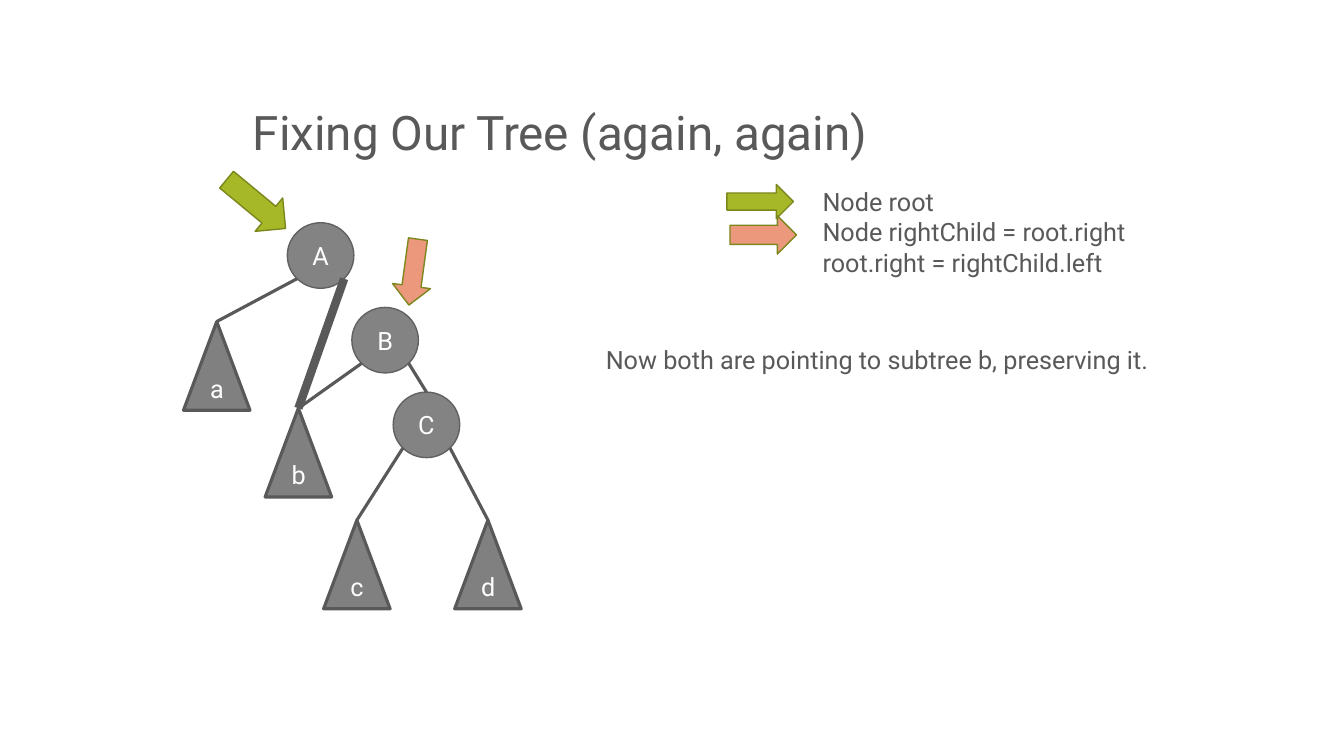
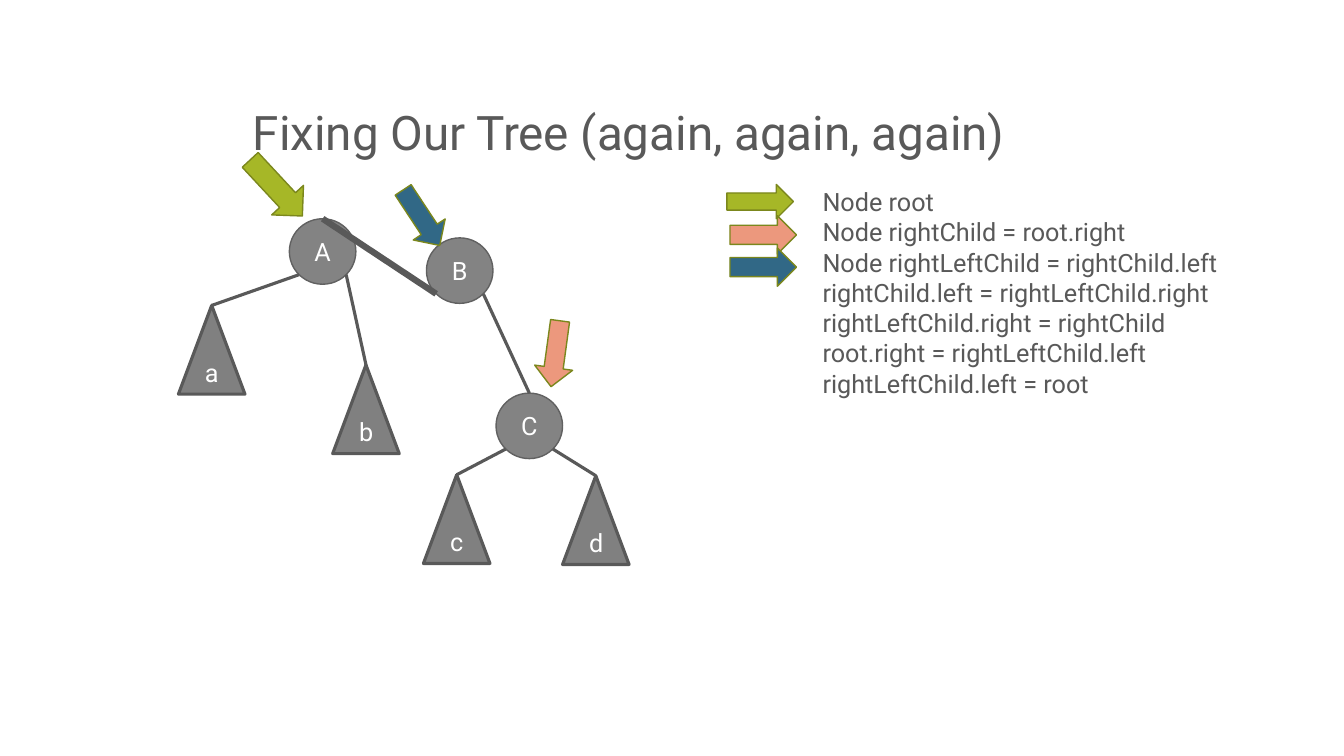
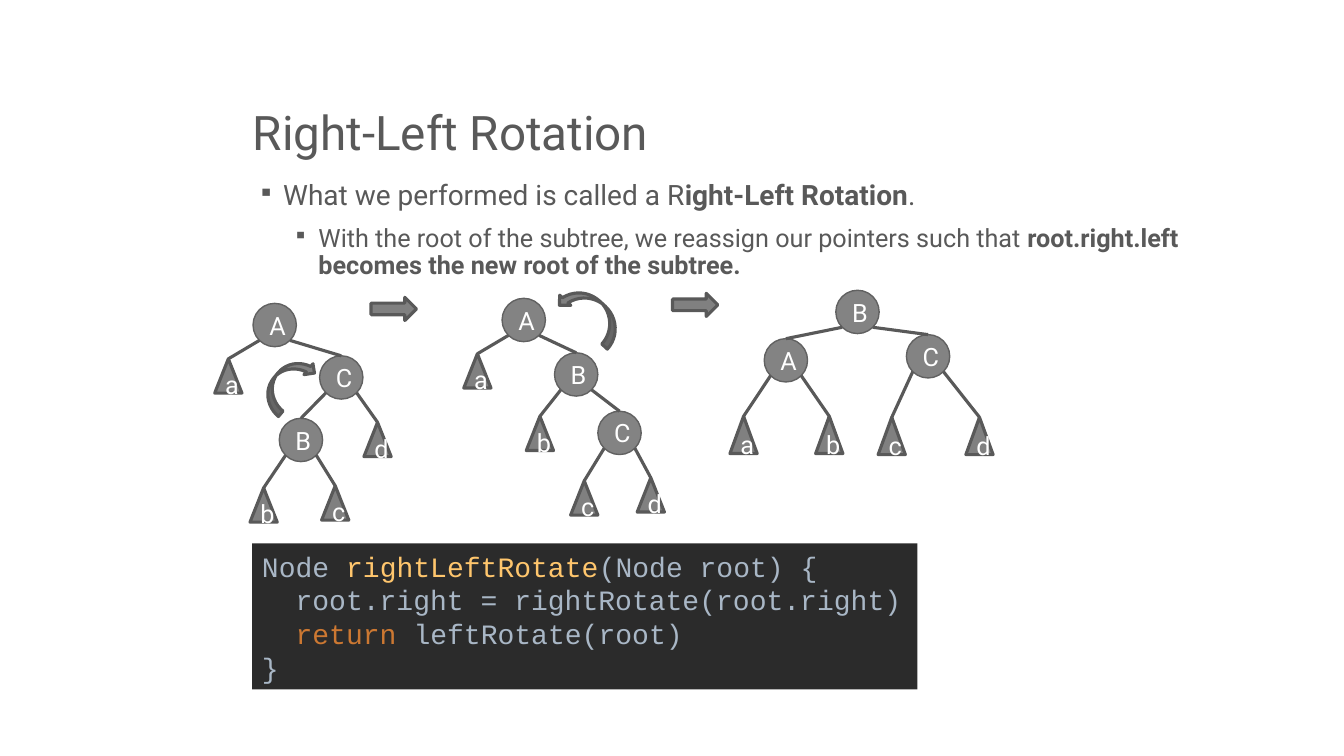
from pptx import Presentation
from pptx.dml.color import RGBColor
from pptx.enum.shapes import MSO_CONNECTOR as LINE, MSO_SHAPE as SHAPE
from pptx.enum.text import MSO_ANCHOR as ANCHOR, PP_ALIGN as ALIGN
from pptx.oxml.ns import qn
from pptx.util import Inches, Pt
from lxml.etree import SubElement

COLORS = {
    "text": "595959", "white": "FFFFFF",
    "node": "838383", "node_edge": "616161", "subtree": "808080",
    "root": "A6B727", "right": "EC987D", "right_left": "316886", "pointer_edge": "7B871D",
    "code_back": "2B2B2B", "code": "A9B7C6", "method": "FFC66D", "keyword": "CC7832",
}
BODY_FONT, CODE_FONT = "Roboto", "Courier New"
DIAGONAL = 0.354  # offset of a circle's 45 degree point, as a share of its size

# Node and subtree sizes
LARGE = {"node": (0.66, 0.65), "subtree": (0.66, 0.88)}
SMALL = {"node": (0.43, 0.43), "subtree": (0.27, 0.34)}
SMALL_TALL = {"node": (0.43, 0.43), "subtree": (0.27, 0.37)}

# Legend arrows: top and height
LEGEND = {"root": (7.21, 1.83, 0.34), "right": (7.24, 2.14, 0.38),
          "right_left": (7.24, 2.46, 0.38)}


def rgb(color):
    return RGBColor.from_string(COLORS[color])


def add_run(paragraph, text, size, color="text", bold=False, font=BODY_FONT):
    run = paragraph.add_run()
    run.text = text
    run.font.name, run.font.size, run.font.bold = font, Pt(size), bold
    run.font.color.rgb = rgb(color)


def add_textbox(slide, box, lines=(), size=18, wrap=True):
    frame = slide.shapes.add_textbox(*map(Inches, box)).text_frame
    frame.word_wrap = wrap
    for i, line in enumerate(lines):
        paragraph = frame.add_paragraph() if i else frame.paragraphs[0]
        add_run(paragraph, line, size)
    return frame


def add_titled_slide(deck, title):
    slide = deck.slides.add_slide(deck.slide_layouts[6])
    frame = add_textbox(slide, (2.41, 0.33, 10.25, 1.31), [title], 34)
    frame.vertical_anchor = ANCHOR.BOTTOM
    frame.paragraphs[0].line_spacing = 0.9
    return slide


def add_figure(slide, kind, box, fill, edge=None, width=2.25, rotation=0):
    figure = slide.shapes.add_shape(kind, *map(Inches, box))
    figure.shadow.inherit = False
    figure.rotation = rotation
    figure.fill.solid()
    figure.fill.fore_color.rgb = rgb(fill)
    if edge:
        figure.line.color.rgb = rgb(edge)
        figure.line.width = Pt(width)
    else:
        figure.line.fill.background()
    return figure


def add_label(figure, text):
    figure.text_frame.vertical_anchor = ANCHOR.MIDDLE
    paragraph = figure.text_frame.paragraphs[0]
    paragraph.alignment = ALIGN.CENTER
    add_run(paragraph, text, 18, "white")


def add_edge(slide, start, end, width):
    edge = slide.shapes.add_connector(LINE.STRAIGHT, *map(Inches, (*start, *end)))
    edge.line.color.rgb = rgb("text")
    edge.line.width = Pt(width)
    SubElement(edge._element.spPr, qn("a:effectLst"))


def add_tree(slide, sizes, places, families, thick=None):
    """Each family is a parent letter, then its left and right child."""
    node_w, node_h = sizes["node"]
    for name, place in places.items():
        if name.isupper():
            node = add_figure(slide, SHAPE.OVAL, (*place, node_w, node_h), "node", "node_edge", 1)
            add_label(node, name)

    for parent, *children in families:
        left, top = places[parent]
        for side, child in zip((-1, 1), children):
            child_w = sizes["node" if child.isupper() else "subtree"][0]
            child_left, child_top = places[child]
            start = (left + node_w * (0.5 + side * DIAGONAL), top + node_h * (0.5 + DIAGONAL))
            add_edge(slide, start, (child_left + child_w / 2, child_top),
                     (thick or {}).get(parent + child, 2.25))

    for name, place in places.items():
        if name.islower():
            subtree = add_figure(slide, SHAPE.ISOSCELES_TRIANGLE, (*place, *sizes["subtree"]),
                                 "subtree", "text")
            add_label(subtree, name)


def add_pointer(slide, box, variable, rotation=0):
    add_figure(slide, SHAPE.RIGHT_ARROW, box, variable, "pointer_edge", 1, rotation)


def add_legend(slide, variables):
    for variable in variables:
        left, top, height = LEGEND[variable]
        add_pointer(slide, (left, top, 0.66, height), variable)


def add_bullet(paragraph, level, size, runs):
    paragraph.level = level
    paragraph.line_spacing = 0.9
    properties = paragraph._p.get_or_add_pPr()
    properties.set("marL", str(Inches((0.3, 0.65)[level])))
    properties.set("indent", str(Inches(-0.25)))
    SubElement(properties, qn("a:buSzPct")).set("val", "80000")
    SubElement(properties, qn("a:buChar")).set("char", "▪")
    for text, bold in runs:
        add_run(paragraph, text, size, bold=bold)


def add_code(slide, box, lines):
    frame = add_figure(slide, SHAPE.RECTANGLE, box, "code_back").text_frame
    frame.word_wrap = False
    frame.vertical_anchor = ANCHOR.MIDDLE
    for i, line in enumerate(lines):
        paragraph = frame.add_paragraph() if i else frame.paragraphs[0]
        paragraph.alignment = ALIGN.LEFT
        for text, color in line:
            add_run(paragraph, text, 20, color, font=CODE_FONT)


def build_preserving_slide(deck):
    slide = add_titled_slide(deck, "Fixing Our Tree (again, again)")
    add_tree(slide, LARGE,
             {"A": (2.85, 2.21), "B": (3.49, 3.05), "C": (3.9, 3.89), "a": (1.82, 3.19),
              "b": (2.63, 4.05), "c": (3.21, 5.16), "d": (4.51, 5.16)},
             ("Aab", "BbC", "Ccd"), {"Ab": 6})
    add_pointer(slide, (2.16, 1.81, 0.76, 0.43), "root", 39.6)
    add_textbox(slide, (8.06, 1.8, 4.06, 1.01), [
        "Node root", "Node rightChild = root.right", "root.right = rightChild.left"])
    add_legend(slide, ("root", "right"))
    add_pointer(slide, (3.77, 2.51, 0.66, 0.38), "right", 97.8)
    add_textbox(slide, (5.91, 3.37, 5.75, 0.4),
                ["Now both are pointing to subtree b, preserving it."], wrap=False)


def build_new_root_slide(deck):
    slide = add_titled_slide(deck, "Fixing Our Tree (again, again, again)")
    add_tree(slide, LARGE,
             {"A": (2.87, 2.17), "B": (4.23, 2.36), "C": (4.92, 3.9), "a": (1.77, 3.03),
              "b": (3.3, 3.62), "c": (4.2, 4.71), "d": (5.58, 4.72)},
             ("Aab", "BAC", "Ccd"), {"BA": 4.5})
    add_pointer(slide, (2.36, 1.65, 0.76, 0.43), "root", 47.1)
    add_textbox(slide, (8.06, 1.8, 4.74, 2.22), [
        "Node root",
        "Node rightChild = root.right",
        "Node rightLeftChild = rightChild.left",
        "rightChild.left = rightLeftChild.right",
        "rightLeftChild.right = rightChild",
        "root.right = rightLeftChild.left",
        "rightLeftChild.left = root"])
    add_legend(slide, ("root", "right", "right_left"))
    add_pointer(slide, (5.18, 3.32, 0.66, 0.38), "right", 97.8)
    add_pointer(slide, (3.85, 1.97, 0.66, 0.38), "right_left", 56.6)


def build_rotation_slide(deck):
    slide = add_titled_slide(deck, "Right-Left Rotation")

    # Explanation
    frame = add_textbox(slide, (2.41, 1.75, 10.25, 4.5))
    add_bullet(frame.paragraphs[0], 0, 20, [
        ("What we performed is called a R", False), ("ight-Left Rotation", True), (".", False)])
    detail = frame.add_paragraph()
    detail.space_before = Pt(10)
    add_bullet(detail, 1, 18, [
        ("With the root of the subtree, we reassign our pointers such that ", False),
        ("root.right.left becomes the new root of the subtree.", True)])

    # Before, after the right rotation, after the left rotation
    add_tree(slide, SMALL,
             {"A": (2.51, 3.01), "B": (2.77, 4.15), "C": (3.17, 3.53), "a": (2.13, 3.56),
              "b": (2.48, 4.84), "c": (3.19, 4.82), "d": (3.61, 4.19)},
             ("AaC", "CBd", "Bbc"))
    add_tree(slide, SMALL,
             {"A": (4.98, 2.96), "B": (5.5, 3.5), "C": (5.93, 4.08), "a": (4.6, 3.51),
              "b": (5.22, 4.13), "c": (5.66, 4.77), "d": (6.32, 4.74)},
             ("AaB", "BbC", "Ccd"))
    add_tree(slide, SMALL_TALL,
             {"A": (7.58, 3.36), "B": (8.29, 2.88), "C": (8.99, 3.32), "a": (7.24, 4.13),
              "b": (8.09, 4.13), "c": (8.71, 4.14), "d": (9.58, 4.14)},
             ("BAC", "Aab", "Ccd"))

    # Steps between the trees and the turns within them
    for left, top in ((3.68, 2.95), (6.67, 2.91)):
        add_figure(slide, SHAPE.RIGHT_ARROW, (left, top, 0.45, 0.23), "subtree", "text")
    add_figure(slide, SHAPE.CURVED_DOWN_ARROW, (2.54, 3.66, 0.63, 0.28), "subtree", "text",
               rotation=309.6)
    left_turn = add_figure(slide, SHAPE.CURVED_DOWN_ARROW, (5.5, 2.96, 0.72, 0.3),
                           "subtree", "text", rotation=42.5)
    left_turn._element.spPr.xfrm.set("flipH", "1")

    # Code
    add_code(slide, (2.5, 5.39, 6.6, 1.45), [
        [("Node ", "code"), ("rightLeftRotate", "method"), ("(Node root) {", "code")],
        [("  root.right = rightRotate(root.right)", "code")],
        [("  ", "code"), ("return ", "keyword"), ("leftRotate(root)", "code")],
        [("}", "code")]])


def main():
    deck = Presentation()
    deck.slide_width, deck.slide_height = Inches(13.33), Inches(7.5)
    build_preserving_slide(deck)
    build_new_root_slide(deck)
    build_rotation_slide(deck)
    deck.save("out.pptx")


if __name__ == "__main__":
    main()
